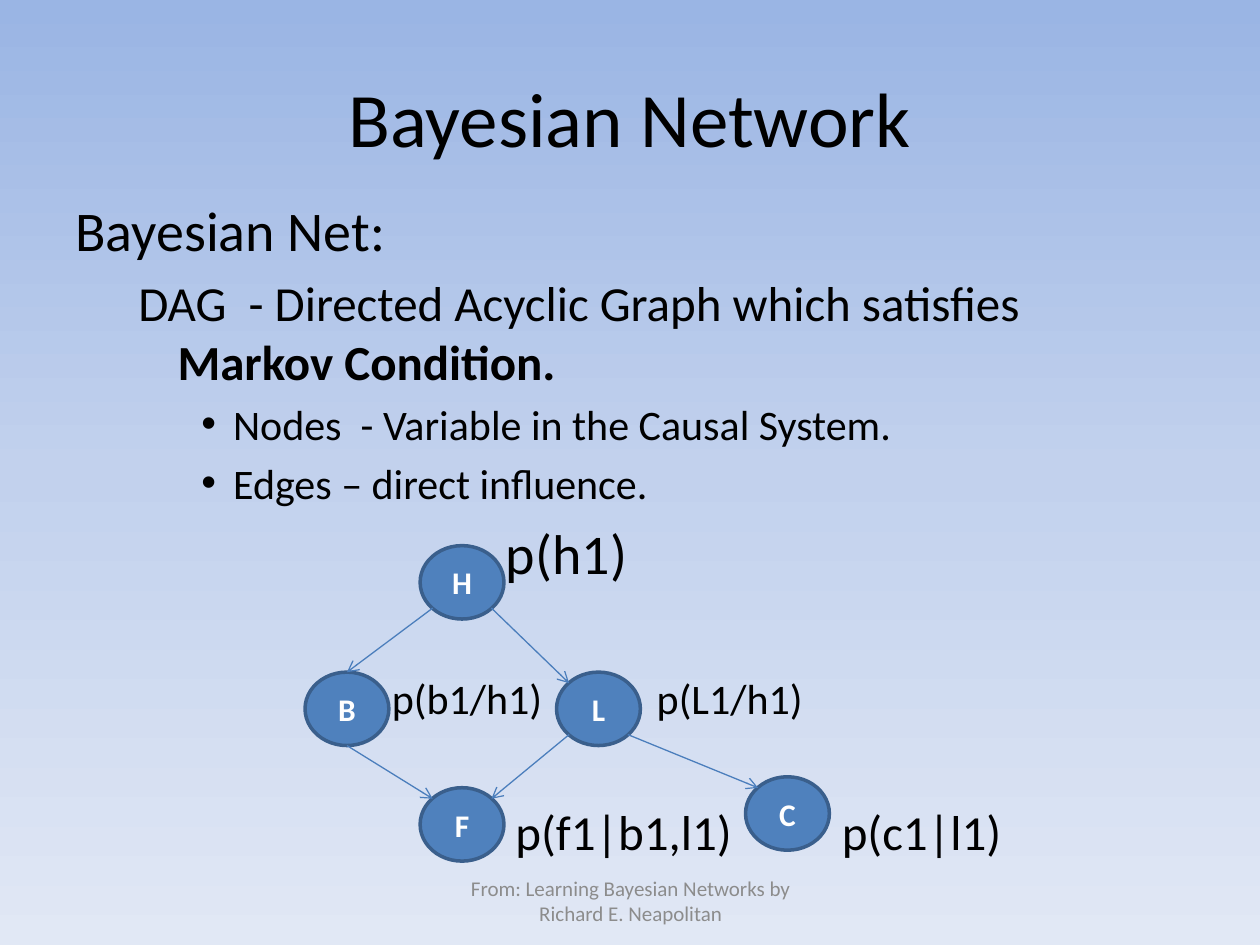
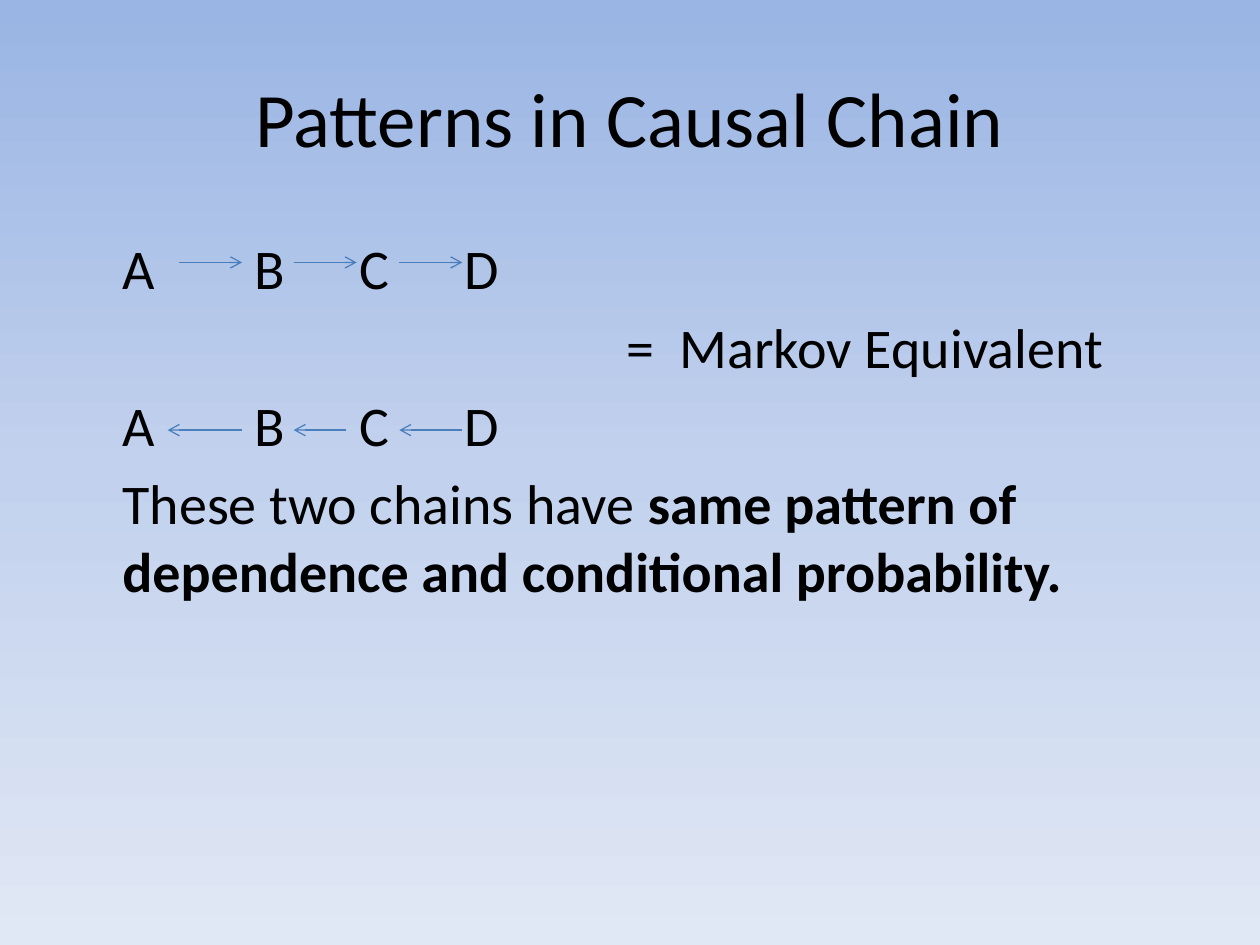
from pptx import Presentation
from pptx.dml.color import RGBColor
from pptx.enum.shapes import MSO_CONNECTOR, MSO_SHAPE
from pptx.enum.text import MSO_ANCHOR, PP_ALIGN
from pptx.oxml import parse_xml
from pptx.oxml.ns import nsdecls, qn
from pptx.oxml.xmlchemy import OxmlElement
from pptx.util import Cm, Pt

FONT = "Calibri"
INK = "000000"
GREY = "8C8C8C"
WHITE = "FFFFFF"
BLUE = "4F81BD"
EDGE = "3A5F8C"
LINE = "4B7EBC"
SKY = [(0, "9AB5E4"), (50, "C2D1ED"), (100, "E1E8F5")]
hue = RGBColor.from_string


def box(slide, left, top, width, height, anchor=MSO_ANCHOR.TOP):
    frame = slide.shapes.add_textbox(Cm(left), Cm(top), Cm(width), Cm(height)).text_frame
    frame.word_wrap = True
    frame.vertical_anchor = anchor
    return frame


def write(frame, size, runs, align=PP_ALIGN.LEFT, ink=INK, left=0, hang=0):
    first = not frame.text
    para = frame.paragraphs[0] if first else frame.add_paragraph()
    para.alignment = align
    para.space_before = Pt(0 if first else round(size * 0.2, 1))
    for text, bold in runs:
        run = para.add_run()
        run.text = text
        run.font.name = FONT
        run.font.size = Pt(size)
        run.font.bold = bold
        run.font.color.rgb = hue(ink)
    props = para._p.get_or_add_pPr()
    props.set("marL", str(Cm(left)))
    props.set("indent", str(Cm(-hang)))
    return props


deck = Presentation()
deck.slide_width = Cm(25.4)
deck.slide_height = Cm(19.05)

stops = "".join(
    f'<a:gs pos="{pos * 1000}"><a:srgbClr val="{tint}"/></a:gs>' for pos, tint in SKY
)
slides = []
for title in ["Bayesian Network", "Patterns in Causal Chain"]:
    slide = deck.slides.add_slide(deck.slide_layouts[6])
    fill = slide.background.fill
    fill.gradient()
    fill.gradient_angle = 270
    old = next(slide.element.iter(qn("a:gsLst")))
    old.getparent().replace(old, parse_xml(f'<a:gsLst {nsdecls("a")}>{stops}</a:gsLst>'))
    head = box(slide, 1.27, 0.76, 22.86, 3.18, MSO_ANCHOR.MIDDLE)
    write(head, 44, [(title, False)], PP_ALIGN.CENTER)
    slides.append(slide)
net, chain = slides

body = box(net, 1.27, 3.81, 22.86, 6.6)
write(body, 32, [("Bayesian Net:", False)])
write(
    body,
    28,
    [("DAG  - Directed Acyclic Graph which satisfies ", False), ("Markov Condition.", True)],
    left=2.06,
    hang=0.79,
)
for text in ["Nodes  - Variable in the Causal System.", "Edges – direct influence."]:
    props = write(body, 24, [(text, False)], left=3.18, hang=0.64)
    font = OxmlElement("a:buFont")
    font.set("typeface", "Arial")
    dot = OxmlElement("a:buChar")
    dot.set("char", "•")
    props.extend([font, dot])

for text, size, left, top in [
    ("p(h1)", 32, 10.2, 10.45),
    ("p(b1/h1)", 24, 7.9, 13.56),
    ("p(L1/h1)", 24, 13.24, 13.56),
    ("p(f1|b1,l1)", 28, 10.39, 16.15),
    ("p(c1|l1)", 28, 16.97, 16.15),
]:
    label = box(net, left, top, 4.6, 1.3)
    label.margin_left = label.margin_right = label.margin_top = label.margin_bottom = 0
    write(label, size, [(text, False)])

foot = box(net, 8.69, 17.65, 8.05, 1.02, MSO_ANCHOR.MIDDLE)
source = "From: Learning Bayesian Networks by Richard E. Neapolitan"
write(foot, 12, [(source, False)], PP_ALIGN.CENTER, GREY)

WIDE, HIGH = 1.69, 1.48
nodes = {
    "B": (6.15, 13.55),
    "L": (11.22, 13.55),
    "F": (8.47, 15.88),
    "H": (8.47, 11),
    "C": (15.03, 15.66),
}
for name, (left, top) in nodes.items():
    node = net.shapes.add_shape(MSO_SHAPE.OVAL, Cm(left), Cm(top), Cm(WIDE), Cm(HIGH))
    node.shadow.inherit = False
    node.fill.solid()
    node.fill.fore_color.rgb = hue(BLUE)
    node.line.color.rgb = hue(EDGE)
    node.line.width = Pt(2)
    node.text_frame.word_wrap = False
    node.text_frame.vertical_anchor = MSO_ANCHOR.MIDDLE
    write(node.text_frame, 18, [(name, True)], PP_ALIGN.CENTER, WHITE)

NEAR, FAR = 0.15, 0.85
ports = {
    "top": (0.5, 0),
    "base": (0.5, 1),
    "top left": (NEAR, NEAR),
    "top right": (FAR, NEAR),
    "low left": (NEAR, FAR),
    "low right": (FAR, FAR),
}
arrows = []
for links in [
    (("H", "low left"), ("B", "top")),
    (("H", "low right"), ("L", "top left")),
    (("B", "base"), ("F", "top left")),
    (("L", "low right"), ("C", "top left")),
    (("L", "low left"), ("F", "top right")),
]:
    ends = []
    for name, port in links:
        ends += [nodes[name][0] + WIDE * ports[port][0], nodes[name][1] + HIGH * ports[port][1]]
    arrows.append((net, ends))

TOP, STEP = 4.59, 1.58
EAST = [(3.61, 4.88), (5.92, 7.19), (8.05, 9.32)]
WEST = [(4.88, 3.38), (6.98, 5.92), (9.32, 8.05)]
for row, level, spans in [(0, 5.29, EAST), (2, 8.67, WEST)]:
    for name, left in zip("ABCD", [2.22, 4.89, 7, 9.12]):
        write(box(chain, left, TOP + row * STEP, 1.4, 1.6), 32, [(name, False)])
    for start, end in spans:
        arrows.append((chain, (start, level, end, level)))

write(box(chain, 12.38, TOP + STEP, 11.75, 1.6), 32, [("=  Markov Equivalent", False)])
write(
    box(chain, 2.22, TOP + 3 * STEP, 21.91, 3),
    32,
    [
        ("These two chains have ", False),
        ("same pattern of dependence and conditional probability.", True),
    ],
)

for slide, ends in arrows:
    arrow = slide.shapes.add_connector(MSO_CONNECTOR.STRAIGHT, *[Cm(end) for end in ends])
    arrow.line.color.rgb = hue(LINE)
    arrow.line.width = Pt(0.75)
    tip = OxmlElement("a:tailEnd")
    tip.set("type", "arrow")
    arrow.line._get_or_add_ln().append(tip)
    arrow._element.spPr.append(OxmlElement("a:effectLst"))

deck.save("out.pptx")
